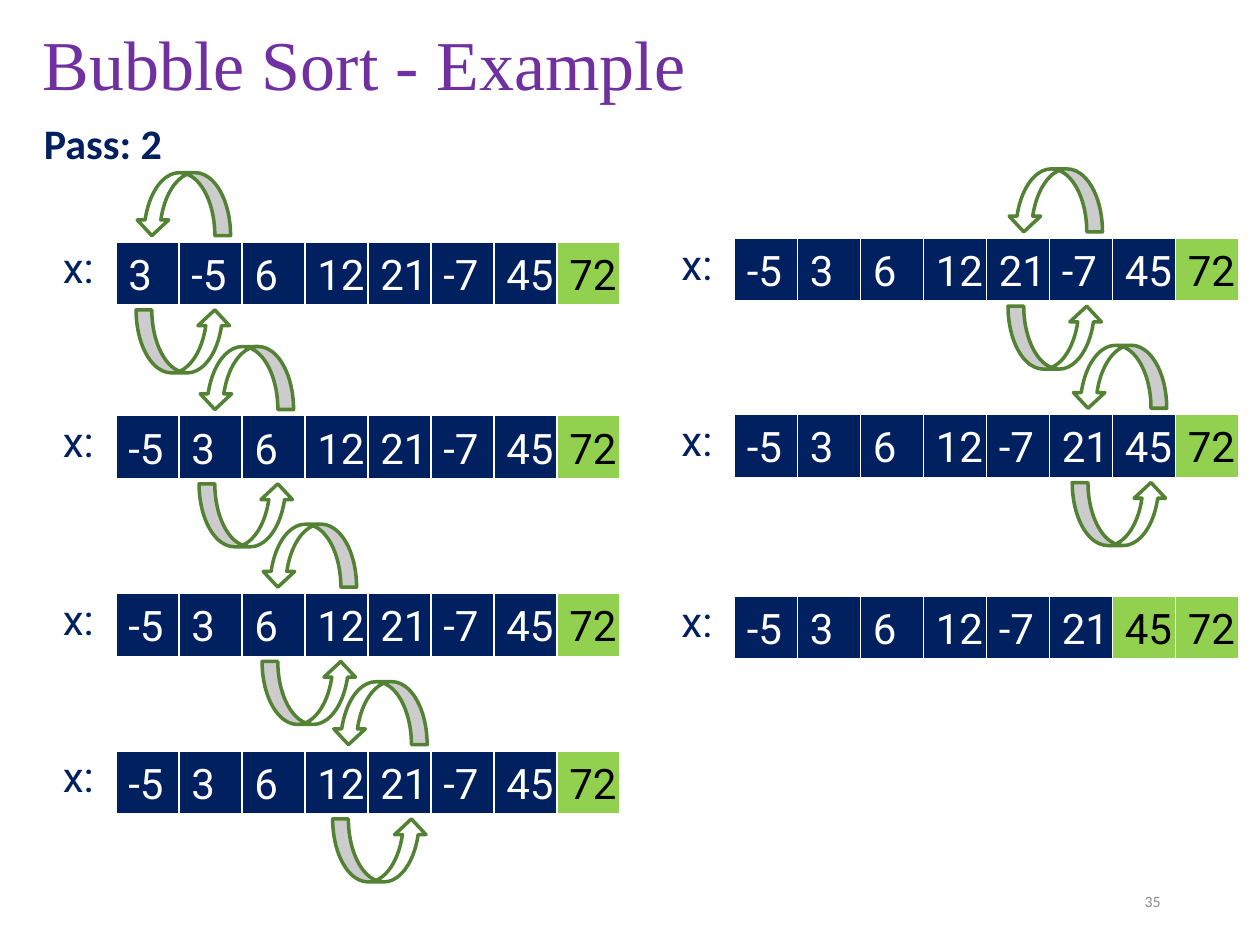
import pptx
import pptx.dml.color
import pptx.enum.shapes
import pptx.enum.text
import pptx.util
from pptx.util import Inches

NAVY, GREEN, WHITE, BLACK = "002060", "92D050", "FFFFFF", "000000"
PURPLE, GRAY, ARROW_GREEN = "7030A0", "8C8C8C", "548235"
CELL = 0.5
LEFT_COLUMN, RIGHT_COLUMN = 0.92, 5.83

# left, top, values, sorted count, first swapped index, arrow shift
STEPS = [
    (LEFT_COLUMN, 1.92, [3, -5, 6, 12, 21, -7, 45, 72], 1, 0, 0),
    (LEFT_COLUMN, 3.3, [-5, 3, 6, 12, 21, -7, 45, 72], 1, 1, 0),
    (LEFT_COLUMN, 4.71, [-5, 3, 6, 12, 21, -7, 45, 72], 1, 2, 0),
    (LEFT_COLUMN, 5.96, [-5, 3, 6, 12, 21, -7, 45, 72], 1, 3, 0.06),
    (RIGHT_COLUMN, 1.89, [-5, 3, 6, 12, 21, -7, 45, 72], 1, 4, 0.01),
    (RIGHT_COLUMN, 3.29, [-5, 3, 6, 12, -7, 21, 45, 72], 1, 5, 0.02),
    (RIGHT_COLUMN, 4.73, [-5, 3, 6, 12, -7, 21, 45, 72], 2, None, 0),
]


def color(hex_string):
    return pptx.dml.color.RGBColor.from_string(hex_string)


def write_text(shape, text, size, font_name, text_color, wrap=True, bold=False,
               anchor=pptx.enum.text.MSO_ANCHOR.MIDDLE,
               alignment=pptx.enum.text.PP_ALIGN.LEFT):
    frame = shape.text_frame
    frame.text = text
    frame.word_wrap = wrap
    frame.vertical_anchor = anchor
    paragraph = frame.paragraphs[0]
    paragraph.alignment = alignment
    font = paragraph.runs[0].font
    font.size = pptx.util.Pt(size)
    font.name = font_name
    font.bold = bold
    font.color.rgb = color(text_color)
    return paragraph


def add_text(shapes, left, top, width, height, *text, **options):
    box = shapes.add_textbox(Inches(left), Inches(top), Inches(width), Inches(height))
    return write_text(box, *text, **options)


def add_outlined_shape(shapes, kind, left, top, width, height, fill, line, line_width):
    shape = shapes.add_shape(kind, Inches(left), Inches(top), Inches(width), Inches(height))
    shape.shadow.inherit = False
    shape.fill.solid()
    shape.fill.fore_color.rgb = color(fill)
    shape.line.color.rgb = color(line)
    shape.line.width = pptx.util.Pt(line_width)
    return shape


def add_array(slide, left, top, values, sorted_count):
    """Group the label and the cells; the sorted cells at the end are green."""
    shapes = slide.shapes.add_group_shape().shapes
    for index, value in enumerate(values):
        is_sorted = index >= len(values) - sorted_count
        cell = add_outlined_shape(
            shapes, pptx.enum.shapes.MSO_SHAPE.RECTANGLE, left + index * CELL, top,
            CELL, CELL, GREEN if is_sorted else NAVY, WHITE, 0.75)
        write_text(cell, str(value), 24, "Roboto", BLACK if is_sorted else WHITE, wrap=False)
    add_text(shapes, left - 0.52, top - 0.05, 0.48, 0.5, "x:", 24, "Roboto", NAVY,
             wrap=False, anchor=pptx.enum.text.MSO_ANCHOR.TOP)


def add_swap_arrows(slide, left, top):
    """Curve one arrow below and one above the pair of cells at left, top."""
    for offset, rotation in ((0.54, 0), (-0.55, 180)):
        arrow = add_outlined_shape(
            slide.shapes, pptx.enum.shapes.MSO_SHAPE.CURVED_UP_ARROW,
            left + 0.16, top + offset, 0.75, 0.5, WHITE, ARROW_GREEN, 2)
        arrow.rotation = rotation


def add_step(slide, left, top, values, sorted_count, swap_index, arrow_shift):
    add_array(slide, left, top, values, sorted_count)
    if swap_index is not None:
        add_swap_arrows(slide, left + swap_index * CELL + arrow_shift, top)


def add_headings(slide):
    title = add_text(slide.shapes, 0.24, 0.08, 9.53, 0.92,
                     "Bubble Sort - Example", 40, "Times New Roman", PURPLE)
    title.line_spacing = 0.9
    add_text(slide.shapes, 0.25, 0.88, 1.42, 0.5, "Pass: 2", 24, "Calibri", NAVY,
             bold=True, anchor=pptx.enum.text.MSO_ANCHOR.TOP)
    add_text(slide.shapes, 7.06, 6.95, 2.25, 0.4, "35", 9, "Calibri", GRAY,
             alignment=pptx.enum.text.PP_ALIGN.RIGHT)


def main():
    presentation = pptx.Presentation()
    presentation.slide_width = Inches(10)
    presentation.slide_height = Inches(7.5)
    slide = presentation.slides.add_slide(presentation.slide_layouts[6])
    add_headings(slide)
    for step in STEPS:
        add_step(slide, *step)
    presentation.save("out.pptx")


if __name__ == "__main__":
    main()
